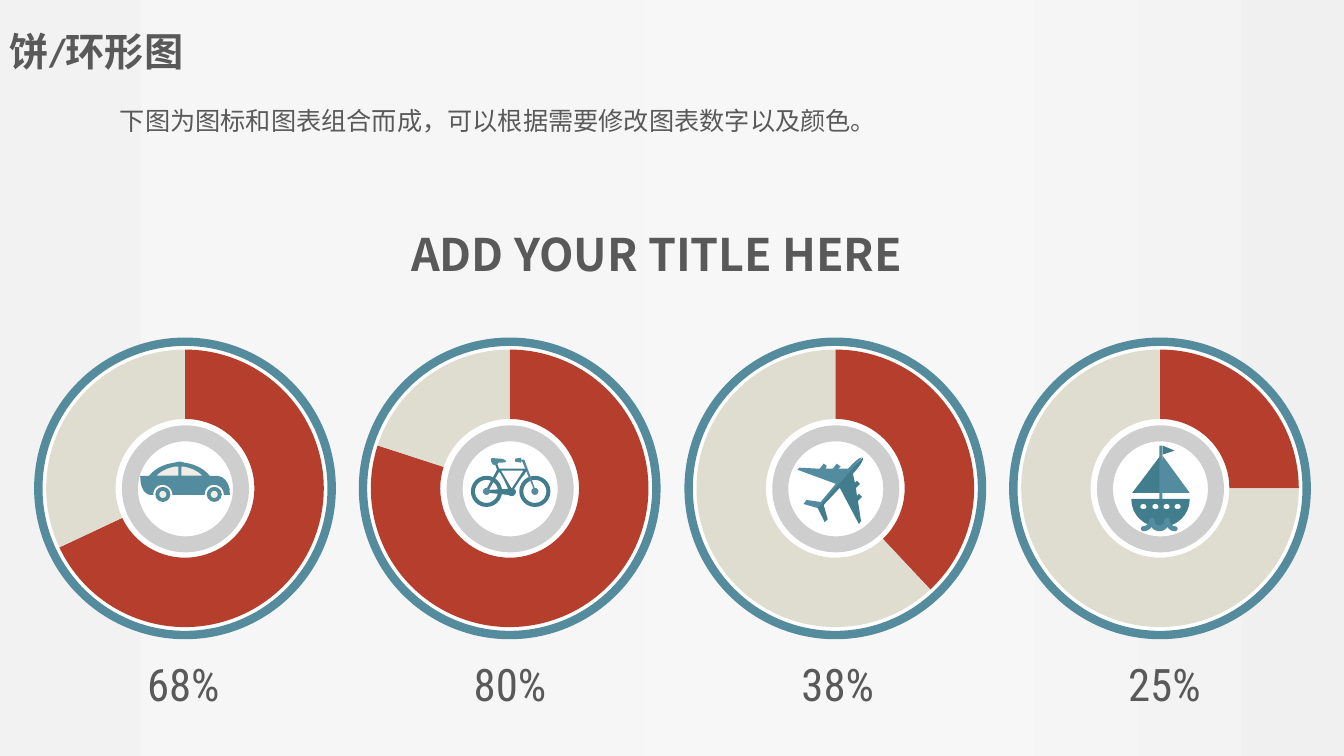
from lxml import etree
from pptx import Presentation
from pptx.chart.data import CategoryChartData
from pptx.dml.color import RGBColor
from pptx.enum.chart import XL_CHART_TYPE
from pptx.enum.shapes import MSO_SHAPE
from pptx.enum.text import MSO_AUTO_SIZE
from pptx.oxml.ns import qn
from pptx.util import Pt

DOUGHNUT = XL_CHART_TYPE.DOUGHNUT
OVAL, RING, BAR = MSO_SHAPE.OVAL, MSO_SHAPE.DONUT, MSO_SHAPE.RECTANGLE
GROW = MSO_AUTO_SIZE.SHAPE_TO_FIT_TEXT

PX = 9144  # EMU per px, 100 px to the inch
WIDTH, HEIGHT = 1333, 750
RED, SAND, WHITE, GREY, BLACK = "B63E2C", "DFDCD0", "FFFFFF", "595959", "000000"
RIM, TEAL, DEEP, CREAM = "548C9D", "538C9E", "427D8E", "F0EDE4"
BACKDROP = [(0, "F2F2F2"), (21, "F6F6F6"), (48, "F7F7F7"), (77, "F5F5F5"), (100, "F0F0F0")]

# Content: text, box, font, size, bold, line spacing
TEXTS = [
    ("ADD YOUR TITLE HERE", (398, 220, 537, 64), "Noto Sans CJK SC", 32, True, None),
    ("下图为图标和图表组合而成，可以根据需要修改图表数字以及颜色。",
     (109, 94, 778, 46), "Calibri", 18, False, 1.2),
    ("饼/环形图", (0, 22, 193, 57), "Calibri", 28, True, None),
]
PERCENTS = [68, 80, 38, 25]
PORTHOLES = " ".join(
    f"M {x} 505 C {x - 2} 505 {x - 3} 504 {x - 3} 503 {x - 3} 501 {x - 2} 500 {x} 500 "
    f"{x + 2} 500 {x + 3} 501 {x + 3} 503 {x + 3} 504 {x + 2} 505 {x} 505"
    for x in (1134, 1146, 1157, 1168))

# Icon parts: colour, then an outline in px or a preset with its box
BOAT = [
    (DEEP, "M 1122 495 C 1122 511 1135 523 1151 523 1167 523 1180 511 1180 495 " + PORTHOLES),
    (DEEP, "M 1151 452 L 1123 489 1153 489"),
    (TEAL, "M 1153 452 L 1180 489 1151 489"),
    (TEAL, BAR, (1150, 442, 3, 53)),
    (TEAL, "M 1140 516 C 1140 519 1137 522 1134 522 1131 522 1131 527 1134 527 "
           "1140 527 1144 522 1145 516 1145 513 1140 513 1140 516"),
    (TEAL, "M 1155 516 C 1155 523 1145 523 1145 516 1144 513 1140 513 1140 516 "
           "1140 522 1144 527 1150 527 1156 527 1160 522 1160 516 1160 513 1156 513 1155 516"),
    (TEAL, "M 1165 522 C 1163 522 1160 519 1160 516 1160 513 1155 513 1155 516 "
           "1156 522 1160 527 1165 527 1169 527 1169 522 1165 522"),
    (DEEP, "M 1153 442 L 1165 447 1153 451"),
]
PLANE = [
    (DEEP, "M 846 470 L 848 479 850 477 853 480 849 484 850 492 852 490 855 493 851 497 "
           "854 517 852 520 833 484 817 501 821 515 818 518 811 504 837 472 856 454 "
           "C 856 454 858 457 846 470"),
    (TEAL, "M 841 465 L 831 465 834 463 830 460 826 465 819 465 820 462 817 460 813 465 "
           "793 464 791 466 829 480 814 498 800 496 797 500 811 504 855 454 "
           "C 855 454 853 452 841 465"),
]
CAR = [
    (TEAL, "M 139 472 L 214 472 C 214 472 228 471 228 491 L 222 491 "
           "C 222 485 218 481 212 481 207 481 203 485 203 491 L 171 491 "
           "C 171 485 166 481 161 481 156 481 152 485 152 491 L 150 491 "
           "C 150 491 139 492 139 472"),
    (CREAM, "M 166 462 L 167 461 191 461 C 194 463 198 464 201 467 202 468 204 470 205 472 "
            "L 205 475 153 475 153 470 C 157 467 162 465 166 462"),
    (TEAL, "M 148 472 C 155 463 166 460 173 459 173 459 177 458 178 458 180 458 183 459 183 459 "
           "190 460 201 463 208 472 L 211 476 145 476 "
           "M 183 463 C 182 463 179 463 178 463 177 463 174 463 173 463 "
           "168 464 161 466 155 472 L 201 472 C 195 466 188 464 183 463"),
    (TEAL, BAR, (177, 460, 3, 15)),
    (TEAL, "M 224 486 C 223 486 222 485 222 483 222 482 223 481 224 481 "
           "L 226 481 C 227 482 227 484 228 486"),
    (TEAL, OVAL, (154, 483, 15, 15)),
    (TEAL, OVAL, (205, 483, 15, 15)),
    (CREAM, OVAL, (209, 487, 7, 7)),
    (CREAM, OVAL, (158, 487, 7, 7)),
]
BICYCLE = [
    (DEEP, RING, (467, 472, 31, 31)),
    (DEEP, RING, (515, 472, 31, 31)),
    (TEAL, "M 531 486 L 520 456 512 456 512 457 518 458 530 487"),
    (DEEP, "M 522 465 L 495 465 492 457 491 460 493 466 482 486 484 488 485 489 504 491 "
           "C 504 491 509 494 511 490 513 487 510 485 510 485 510 485 518 472 520 471 "
           "521 468 523 467 523 467 "
           "M 485 486 L 495 468 C 498 471 504 485 504 485 "
           "M 508 484 L 507 484 497 467 519 467"),
    (TEAL, "M 502 458 C 502 458 502 456 497 455 493 455 488 454 487 455 "
           "486 456 488 460 489 461 491 462 493 459 495 459 496 459 501 459 502 458"),
    (TEAL, OVAL, (479, 484, 7, 7)),
    (TEAL, OVAL, (527, 484, 7, 7)),
    (TEAL, "M 493 459 L 491 461 491 462 494 460"),
    (TEAL, "M 517 459 L 517 454 511 455 511 458"),
]


def rgb(value):
    return RGBColor.from_string(value)


def emu(*lengths):
    return [round(length * PX) for length in lengths]


def paint(shape, color):
    shape.shadow.inherit = False
    shape.fill.solid()
    shape.fill.fore_color.rgb = rgb(color)
    shape.line.fill.background()
    return shape


def trace(outline):
    """Points of each contour, with curves cut into short steps."""
    contours, command, numbers = [], "M", []
    for token in outline.split():
        if token.isalpha():
            command = token
            continue
        numbers.append(int(token))
        if len(numbers) < (6 if command == "C" else 2):
            continue
        pairs = list(zip(numbers[::2], numbers[1::2]))
        numbers = []
        if command == "M":
            contours.append(pairs)
        elif command == "L":
            contours[-1] += pairs
        else:
            curve = [contours[-1][-1]] + pairs
            for t in (step / 8 for step in range(1, 9)):
                weights = ((1 - t) ** 3, 3 * t * (1 - t) ** 2, 3 * t * t * (1 - t), t ** 3)
                contours[-1].append(tuple(
                    sum(w * point[axis] for w, point in zip(weights, curve)) for axis in (0, 1)))
    return [[tuple(emu(*point)) for point in contour] for contour in contours]


def add_icon(parts):
    group = slide.shapes.add_group_shape().shapes
    for color, kind, *box in parts:
        if box:
            shape = group.add_shape(kind, *emu(*box[0]))
            if kind == RING:
                shape.adjustments[0] = 0.13
        else:
            first, *others = trace(kind)
            builder = group.build_freeform(*first[0], scale=1)
            builder.add_line_segments(first[1:])
            for contour in others:
                builder.move_to(*contour[0])
                builder.add_line_segments(contour[1:])
            shape = builder.convert_to_shape()
        paint(shape, color)


def add_gauge(left, percent):
    rim = paint(slide.shapes.add_shape(OVAL, *emu(left, 339, 291, 291)), WHITE)
    rim.line.color.rgb = rgb(RIM)
    rim.line.width = Pt(6)

    data = CategoryChartData()
    data.categories = ["1", "2"]
    data.add_series("Series 1", (percent, 100 - percent))
    chart = slide.shapes.add_chart(DOUGHNUT, *emu(left - 82, 333, 455, 303), data).chart
    chart.has_legend = chart.has_title = False
    chart.font.name, chart.font.size = "Calibri", Pt(10)
    chart.font.color.rgb = rgb(BLACK)
    for index, color in enumerate((RED, SAND)):
        style = chart.plots[0].series[0].points[index].format
        style.fill.solid()
        style.fill.fore_color.rgb = rgb(color)
        style.line.fill.background()
    root = chart.element
    root.find(".//" + qn("c:holeSize")).set("val", "35")
    clear = etree.Element(qn("c:spPr"))
    etree.SubElement(clear, qn("a:noFill"))
    etree.SubElement(etree.SubElement(clear, qn("a:ln")), qn("a:noFill"))
    root.find(qn("c:chart")).addnext(clear)

    ring = paint(slide.shapes.add_shape(RING, *emu(left + 83, 422, 126, 126)), "0D0D0D")
    ring.adjustments[0] = 0.126
    tint = ring.element.spPr.find(qn("a:solidFill"))[0]
    etree.SubElement(tint, qn("a:alpha")).set("val", "20000")


def add_text(text, area, font, size, bold=False, spacing=None):
    box = slide.shapes.add_textbox(*emu(*area))
    frame = box.text_frame
    frame.word_wrap = True
    frame.auto_size = GROW
    para = frame.paragraphs[0]
    para.text = text
    para.font.name, para.font.size, para.font.bold = font, Pt(size), bold
    para.font.color.rgb = rgb(GREY)
    if spacing:
        para.line_spacing = spacing


deck = Presentation()
deck.slide_width, deck.slide_height = emu(WIDTH, HEIGHT)
slide = deck.slides.add_slide(deck.slide_layouts[6])

# Background gradient, left to right
backdrop = slide.background.fill
backdrop.gradient()
backdrop.gradient_angle = 0
stops = slide.element.find(".//" + qn("a:gsLst"))
stops.clear()
for position, color in BACKDROP:
    stop = etree.SubElement(stops, qn("a:gs"), pos=str(position * 1000))
    etree.SubElement(stop, qn("a:srgbClr"), val=color)

# Gauges, icons and labels
for column, percent in enumerate(PERCENTS):
    add_gauge(round(38 + 322.4 * column), percent)
for icon in (BOAT, PLANE, CAR, BICYCLE):
    add_icon(icon)
for column, percent in enumerate(PERCENTS):
    add_text(f"{percent}%", (round(136 + 324.4 * column), 647, 99, 64), "Roboto Condensed", 32)
for entry in TEXTS:
    add_text(*entry)

deck.save("out.pptx")
